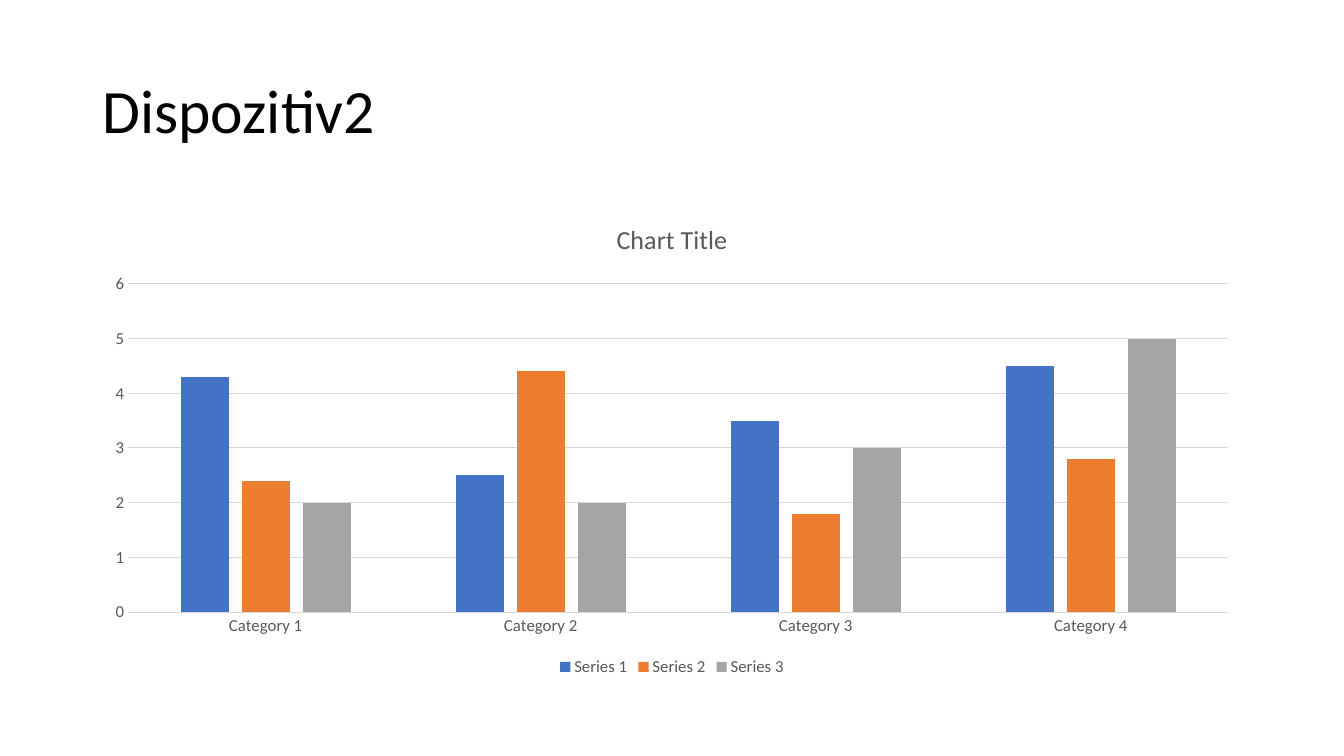
"""Build a slide with a title and a clustered column chart."""
from pptx import Presentation
from pptx.chart.data import CategoryChartData
from pptx.dml.color import RGBColor
from pptx.enum.chart import XL_CHART_TYPE, XL_LEGEND_POSITION, XL_TICK_MARK
from pptx.enum.text import MSO_ANCHOR, MSO_AUTO_SIZE, PP_ALIGN
from pptx.util import Cm, Pt

BLACK = RGBColor(0x00, 0x00, 0x00)
GRAY = RGBColor(0x59, 0x59, 0x59)
PALE = RGBColor(0xD9, 0xD9, 0xD9)
BLUE = RGBColor(0x44, 0x72, 0xC4)
ORANGE = RGBColor(0xED, 0x7D, 0x31)
SILVER = RGBColor(0xA5, 0xA5, 0xA5)
FACE = "Calibri"
LEFT, WIDTH = Cm(2.33), Cm(29.21)


def set_all(item, values):
    for name, value in values.items():
        setattr(item, name, value)


def set_font(font, size, color):
    set_all(font, {"name": FACE, "size": Pt(size), "bold": False})
    font.color.rgb = color


deck = Presentation()
set_all(deck, {"slide_width": Cm(33.87), "slide_height": Cm(19.05)})
slide = deck.slides.add_slide(deck.slide_layouts[5])

title = slide.shapes.title
set_all(title, {"left": LEFT, "top": Cm(1.01), "width": WIDTH, "height": Cm(3.68)})
set_all(title.text_frame, {
    "text": "Dispozitiv2",
    "word_wrap": True,
    "auto_size": MSO_AUTO_SIZE.NONE,
    "vertical_anchor": MSO_ANCHOR.MIDDLE,
})
line = title.text_frame.paragraphs[0]
set_all(line, {"alignment": PP_ALIGN.LEFT, "line_spacing": 0.9})
set_font(line.runs[0].font, 44, BLACK)

series = [
    ("Series 1", BLUE, (4.3, 2.5, 3.5, 4.5)),
    ("Series 2", ORANGE, (2.4, 4.4, 1.8, 2.8)),
    ("Series 3", SILVER, (2, 2, 3, 5)),
]
data = CategoryChartData()
data.categories = [f"Category {n}" for n in range(1, 5)]
for name, color, values in series:
    data.add_series(name, values)

frame = slide.shapes.add_chart(
    XL_CHART_TYPE.COLUMN_CLUSTERED, LEFT, Cm(5.07), WIDTH, Cm(12.09), data)
chart = frame.chart
set_font(chart.font, 10, BLACK)

chart.has_title = True
head = chart.chart_title
head.include_in_layout = False
head.text_frame.text = "Chart Title"
set_font(head.text_frame.paragraphs[0].runs[0].font, 18.6, GRAY)

plot = chart.plots[0]
set_all(plot, {"gap_width": 219, "overlap": -27, "vary_by_categories": False})
for bar, (name, color, values) in zip(plot.series, series):
    bar.invert_if_negative = False
    bar.format.fill.solid()
    bar.format.fill.fore_color.rgb = color

chart.has_legend = True
set_all(chart.legend, {
    "position": XL_LEGEND_POSITION.BOTTOM, "include_in_layout": False})
set_font(chart.legend.font, 12, GRAY)

base, scale = chart.category_axis, chart.value_axis
for axis in (base, scale):
    set_all(axis, {
        "major_tick_mark": XL_TICK_MARK.NONE,
        "minor_tick_mark": XL_TICK_MARK.NONE,
    })
    set_font(axis.tick_labels.font, 12, GRAY)
set_all(scale, {
    "minimum_scale": 0, "maximum_scale": 6, "major_unit": 1,
    "has_major_gridlines": True})
scale.format.line.fill.background()
for rule in (base.format.line, scale.major_gridlines.format.line):
    rule.width = Pt(0.75)
    rule.color.rgb = PALE

deck.save("out.pptx")
